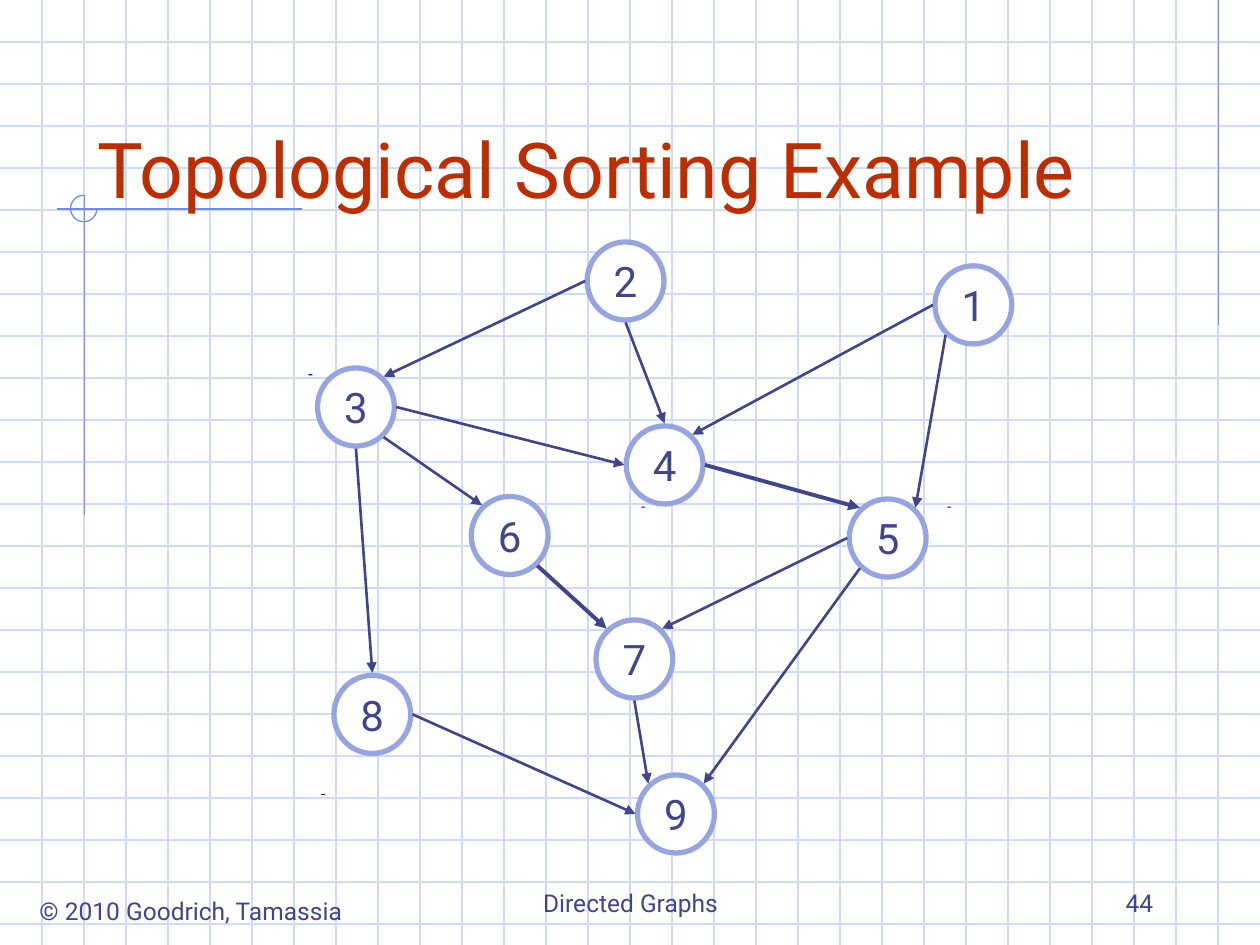
from pptx import Presentation
from pptx.dml.color import RGBColor as Rgb
from pptx.enum.shapes import MSO_CONNECTOR as Conn, MSO_SHAPE as Shape
from pptx.enum.text import MSO_ANCHOR as Anchor, MSO_AUTO_SIZE as Auto, PP_ALIGN as Align
from pptx.oxml.ns import qn
from pptx.util import Inches, Pt
from lxml import etree

WIDE, HIGH = 10, 7.5
FONT = "Roboto"
COLORS = {"grid": "CFDBFD", "rule": "6F89F7", "ink": "40458C", "title": "BE2D00",
          "ring": "96A5E2", "node": "FFFFFF", "dash": "0000FF"}
TITLE = "Topological Sorting Example"
LABELS = [
    ("© 2010 Goodrich, Tamassia", (0.16, 7.06, 2.71, 0.34), Align.CENTER, Anchor.TOP, False),
    ("Directed Graphs", (3.42, 6.83, 3.17, 0.5), Align.CENTER, Anchor.BOTTOM, True),
    ("44", (7.17, 6.83, 2.08, 0.5), Align.RIGHT, Anchor.BOTTOM, True),
]
RULES = [(9.67, 0, 9.67, 2.58), (2.4, 1.66, 0.45, 1.66), (0.67, 1.55, 0.67, 4.09)]
DASHES = [(2.45, 2.97), (5.09, 4.02), (7.52, 4.02), (2.55, 6.3)]
NODES = {2: (4.66, 1.92), 7: (4.73, 4.92), 4: (4.97, 3.38), 8: (2.65, 5.36), 5: (6.74, 3.96),
         6: (3.74, 3.94), 1: (7.42, 2.11), 3: (2.52, 2.92), 9: (5.06, 6.15)}
NODE_W, NODE_H = 0.61, 0.62
PORTS = {"n": (0, -0.33), "s": (0, 0.33), "w": (-0.32, 0), "e": (0.32, 0),
         "nw": (-0.22, -0.24), "ne": (0.22, -0.24), "sw": (-0.22, 0.24), "se": (0.22, 0.24)}
THIN, BOLD = 1.5, 2.25
EDGES = [
    (2, "w", 3, "ne", THIN), (2, "s", 4, "n", THIN), (1, "w", 4, "ne", THIN),
    (5, "w", 7, "ne", THIN), (5, "sw", 9, "ne", THIN), (8, "e", 9, "w", THIN),
    (7, "s", 9, "nw", THIN), (6, "se", 7, "nw", BOLD), (3, "se", 6, "nw", THIN),
    (3, "s", 8, "n", THIN), (3, "e", 4, "w", THIN), (4, "e", 5, "nw", BOLD),
    (1, "sw", 5, "ne", THIN),
]


def color(key):
    return Rgb.from_string(COLORS[key])


def style(par, size, key, align):
    par.alignment = align
    par.font.name = FONT
    par.font.size = Pt(size)
    par.font.color.rgb = color(key)


def add_line(shapes, ends, key, width=0.75, arrow=False):
    line = shapes.add_connector(Conn.STRAIGHT, *map(Inches, ends))
    line.line.color.rgb = color(key)
    line.line.width = Pt(width)
    props = line.element.spPr
    if arrow:
        etree.SubElement(props.find(qn("a:ln")), qn("a:tailEnd"), type="triangle")
    etree.SubElement(props, qn("a:effectLst"))


def add_shape(shapes, kind, box, fill=None, edge=None, width=0.75):
    shape = shapes.add_shape(kind, *map(Inches, box))
    shape.shadow.inherit = False
    if fill:
        shape.fill.solid()
        shape.fill.fore_color.rgb = color(fill)
    else:
        shape.fill.background()
    if edge:
        shape.line.color.rgb = color(edge)
        shape.line.width = Pt(width)
    else:
        shape.line.fill.background()
    return shape


def add_back(shapes):
    for i in range(1, 23):
        add_line(shapes, (0, i / 3, WIDE, i / 3), "grid")
    for i in range(1, 30):
        add_line(shapes, (i / 3, 0, i / 3, HIGH), "grid")
    for ends in RULES:
        add_line(shapes, ends, "rule")
    arc = add_shape(shapes, Shape.ARC, (0.56, 1.55, 0.21, 0.21), edge="rule")
    arc.adjustments[0] = 0
    arc.adjustments[1] = 162


def add_texts(shapes):
    for text, box, align, anchor, wrap in LABELS:
        frame = shapes.add_textbox(*map(Inches, box)).text_frame
        frame.word_wrap = wrap
        frame.vertical_anchor = anchor
        frame.text = text
        style(frame.paragraphs[0], 14, "ink", align)
    title = shapes.title
    title.left, title.top, title.width, title.height = map(Inches, (0.67, 0.5, 8.5, 1.25))
    frame = title.text_frame
    frame.text = TITLE
    frame.auto_size = Auto.NONE
    frame.vertical_anchor = Anchor.BOTTOM
    style(frame.paragraphs[0], 44, "title", Align.LEFT)
    title.element.getparent().append(title.element)


def port(node, side):
    x, y = NODES[node]
    dx, dy = PORTS[side]
    return x + NODE_W / 2 + dx, y + NODE_H / 2 + dy


def add_graph(shapes):
    for x, y in DASHES:
        add_shape(shapes, Shape.RECTANGLE, (x, y, 0.03, 0.01), "dash")
    for node, (x, y) in NODES.items():
        ring = add_shape(shapes, Shape.OVAL, (x, y, NODE_W, NODE_H), "node", "ring", 3)
        frame = ring.text_frame
        frame.word_wrap = False
        frame.vertical_anchor = Anchor.MIDDLE
        frame.text = str(node)
        style(frame.paragraphs[0], 24, "ink", Align.CENTER)
    for start, out, end, into, width in EDGES:
        add_line(shapes, port(start, out) + port(end, into), "ink", width, True)


def main():
    deck = Presentation()
    deck.slide_width, deck.slide_height = Inches(WIDE), Inches(HIGH)
    shapes = deck.slides.add_slide(deck.slide_layouts[5]).shapes
    add_back(shapes)
    add_texts(shapes)
    add_graph(shapes)
    deck.save("out.pptx")


if __name__ == "__main__":
    main()
